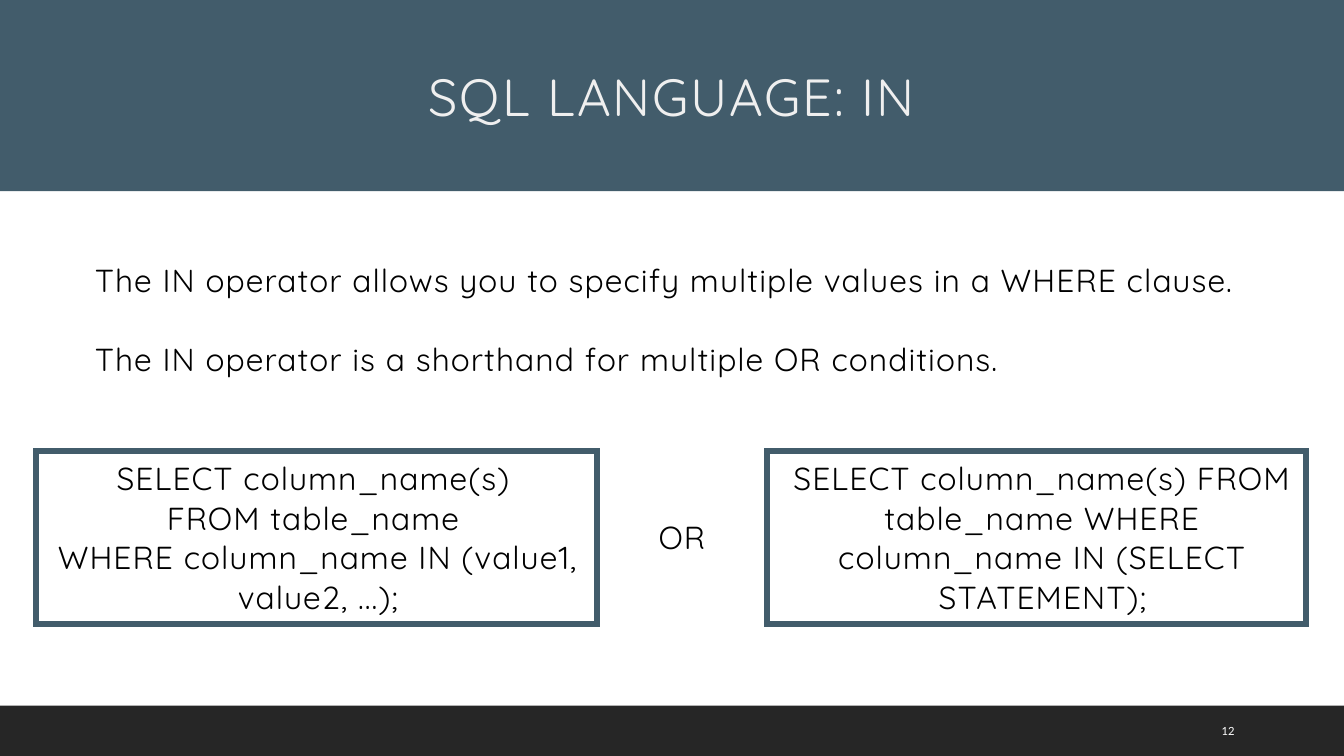
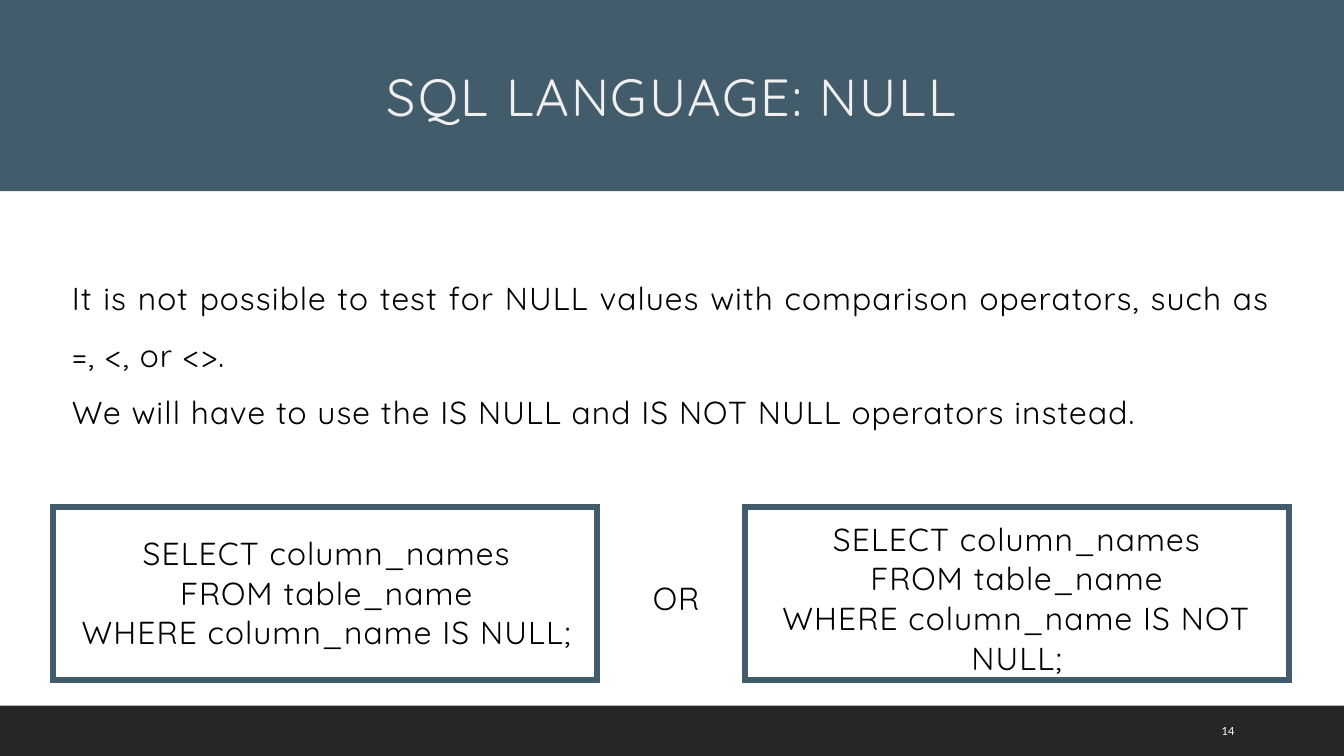
from lxml import etree
from pptx import Presentation
from pptx.dml.color import RGBColor
from pptx.enum.shapes import MSO_SHAPE
from pptx.enum.text import MSO_ANCHOR, MSO_AUTO_SIZE, PP_ALIGN
from pptx.oxml.ns import qn
from pptx.util import Cm, Pt

RECT = MSO_SHAPE.RECTANGLE
TOP, MIDDLE = MSO_ANCHOR.TOP, MSO_ANCHOR.MIDDLE
NO_AUTOFIT = MSO_AUTO_SIZE.NONE
LEFT, CENTER, JUSTIFY = PP_ALIGN.LEFT, PP_ALIGN.CENTER, PP_ALIGN.JUSTIFY

COLORS = {"slate": "425C6B", "bar": "262626", "title": "EFEFEF",
          "text": "000000", "number": "FFFFFF"}
HEAD_FONT, NUMBER_FONT = "Quicksand", "Lato"
WIDTH, HEIGHT = 33.87, 19.05
BAND_H, BAR_H = 4.82, 1.27
STROKE = 0.15
TITLE_ONLY = 5
LINE = Pt(28.3)

# Boxes are left, top, width, height in cm; insets are left, top, right.
SLIDES = [
    {
        "title": "SQL LANGUAGE: IN",
        "number": "12",
        "body": ((2.39, 6.53, 29.08, 3.91),
                 ["The IN operator allows you to specify multiple values in a WHERE clause.",
                  "The IN operator is a shorthand for multiple OR conditions."],
                 LINE, LINE),
        "statements": [
            ((0.84, 11.28, 14.28, 4.52), (0.3, 0.17, 0.23),
             ["SELECT column_name(s) ", "FROM table_name ",
              "WHERE column_name IN (value1, value2, ...);"]),
            ((19.26, 11.28, 13.74, 4.52), (0.28, 0.17, 0),
             ["SELECT column_name(s) FROM table_name WHERE column_name IN "
              "(SELECT STATEMENT);"]),
        ],
        "or": (15.99, 13.01, 2.39, 0.91),
    },
    {
        "title": "SQL LANGUAGE: NULL",
        "number": "14",
        "body": ((1.81, 6.54, 30.23, 5.64),
                 ["It is not possible to test for NULL values with comparison "
                  "operators, such as =, <, or <>.",
                  "We will have to use the IS NULL and IS NOT NULL operators instead."],
                 1.5, Pt(0)),
        "statements": [
            ((1.27, 12.7, 13.86, 4.52), (0.58, 0.64, 0.53),
             ["SELECT column_names", "FROM table_name",
              "WHERE column_name IS NULL;"]),
            ((18.69, 12.7, 13.86, 4.52), (0.83, 0.28, 0.83),
             ["SELECT column_names", "FROM table_name",
              "WHERE column_name IS NOT NULL;"]),
        ],
        "or": (16.33, 14.55, 1.42, 0.91),
    },
]


def rgb(name):
    return RGBColor.from_string(COLORS[name])


def place(sp, box):
    sp.left, sp.top, sp.width, sp.height = (Cm(v) for v in box)


def write(sp, lines, align=CENTER, spacing=LINE, gap=Pt(0), size=22.7,
          color="text", font=HEAD_FONT, tracking=80, insets=(0, 0, 0),
          anchor=TOP):
    """Fill a shape with one paragraph per line; tracking is in 1/100 pt."""
    tf = sp.text_frame
    tf.word_wrap = True
    tf.auto_size = NO_AUTOFIT
    tf.vertical_anchor = anchor
    tf.margin_left, tf.margin_top, tf.margin_right = (Cm(v) for v in insets)
    tf.margin_bottom = 0
    tf.text = "\n".join(lines)
    for i, p in enumerate(tf.paragraphs):
        p.alignment = align
        p.line_spacing = spacing
        p.space_before = gap if i else Pt(0)
        for r in p.runs:
            r.font.name = font
            r.font.size = Pt(size)
            r.font.color.rgb = rgb(color)
            if tracking:
                r._r.get_or_add_rPr().set("spc", str(tracking))


def add_text(s, box, lines, **style):
    sp = s.shapes.add_textbox(*(Cm(v) for v in box))
    write(sp, lines, **style)


def add_rect(s, box):
    sp = s.shapes.add_shape(RECT, *(Cm(v) for v in box))
    sp.shadow.inherit = False
    return sp


def add_bands(s):
    """Draw the title band and bottom bar behind the title."""
    bands = [("slate", (0, 0, WIDTH, BAND_H)),
             ("bar", (0, HEIGHT - BAR_H, WIDTH, BAR_H))]
    for color, box in bands:
        sp = add_rect(s, box)
        sp.fill.solid()
        sp.fill.fore_color.rgb = rgb(color)
        sp.line.fill.background()
        s.shapes.element.insert(2, sp.element)


def add_title(s, text):
    sp = s.shapes.title
    place(sp, (0, 1.55, WIDTH, 1.55))
    write(sp, [text], spacing=Pt(46.7), size=37.3, color="title", tracking=130)


def add_statement(s, box, insets, lines):
    """Framed SQL statement; box is the outer edge of the frame."""
    left, top, width, height = box
    sp = add_rect(s, (left + STROKE / 2, top + STROKE / 2,
                      width - STROKE, height - STROKE))
    sp.fill.background()
    sp.line.color.rgb = rgb("slate")
    sp.line.width = Cm(STROKE)
    ln = sp.element.spPr.find(qn("a:ln"))
    etree.SubElement(ln, qn("a:miter")).set("lim", "800000")
    write(sp, lines, insets=insets)


def add_operator_slide(s, content):
    add_bands(s)
    add_title(s, content["title"])
    box, lines, spacing, gap = content["body"]
    add_text(s, box, lines, align=JUSTIFY, spacing=spacing, gap=gap)
    for statement in content["statements"]:
        add_statement(s, *statement)
    add_text(s, content["or"], ["OR"])
    add_text(s, (30.54, 17.91, 2.16, 1.02), [content["number"]], align=LEFT,
             spacing=1.0, size=8, color="number", font=NUMBER_FONT,
             tracking=0, insets=(0.25, 0, 0.25), anchor=MIDDLE)


def main():
    prs = Presentation()
    prs.slide_width, prs.slide_height = Cm(WIDTH), Cm(HEIGHT)
    layout = prs.slide_layouts[TITLE_ONLY]
    for content in SLIDES:
        add_operator_slide(prs.slides.add_slide(layout), content)
    prs.save("out.pptx")


if __name__ == "__main__":
    main()
